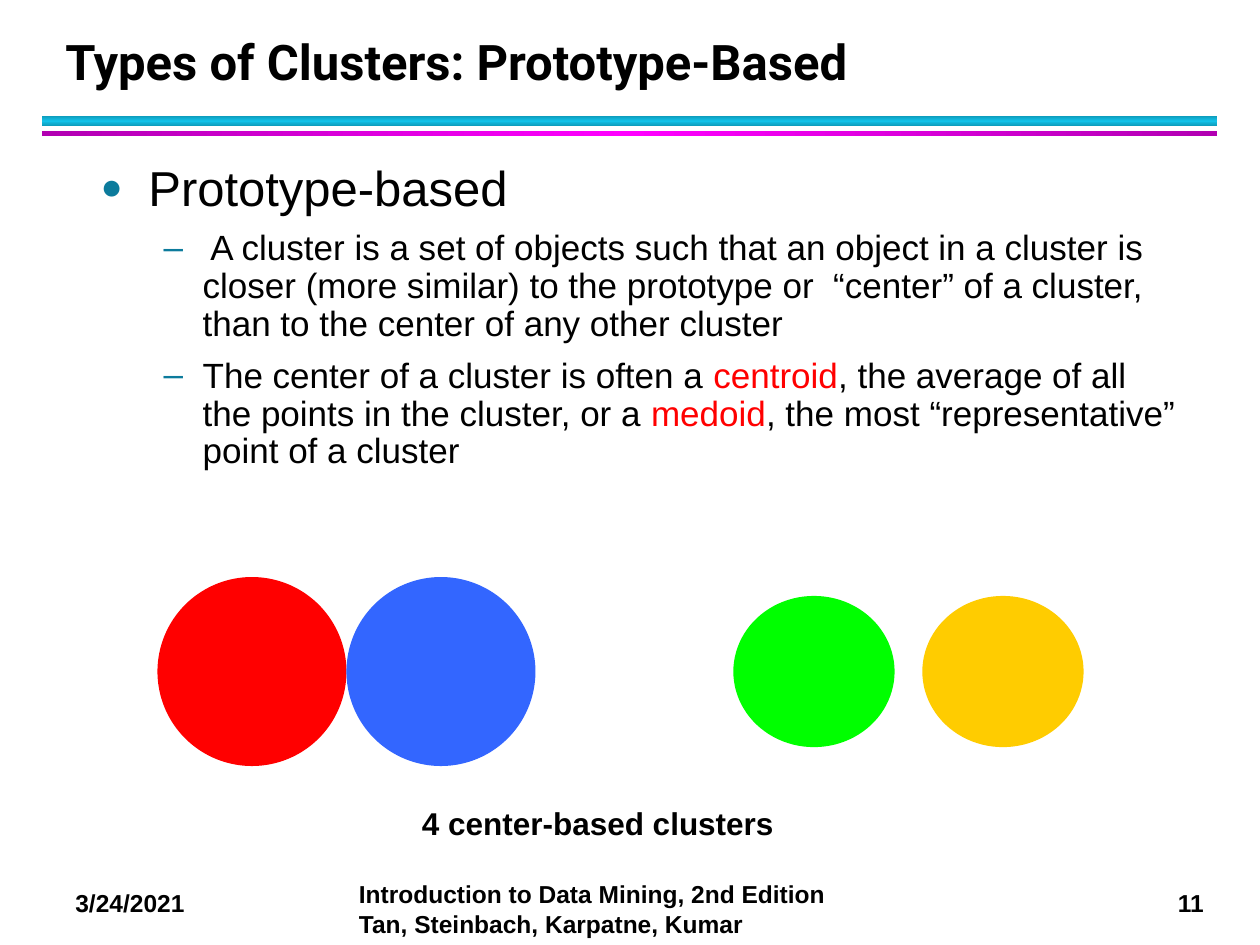
from copy import deepcopy

from lxml.etree import SubElement
from pptx import Presentation
from pptx.dml.color import RGBColor
from pptx.enum.shapes import MSO_SHAPE as Shape
from pptx.enum.text import MSO_ANCHOR as Anchor
from pptx.oxml.ns import qn
from pptx.util import Inches, Pt

BLACK = RGBColor(0, 0, 0)
RED = RGBColor(0xFF, 0, 0)
BLUE = RGBColor(0x33, 0x66, 0xFF)
GREEN = RGBColor(0, 0xFF, 0)
GOLD = RGBColor(0xFF, 0xCC, 0)
TEAL_EDGE = RGBColor(0x0E, 0x9B, 0xBA)
TEAL_MIDDLE = RGBColor(0x12, 0xC2, 0xE9)
PURPLE_EDGE = RGBColor(0xB2, 0, 0xB2)
PURPLE_MIDDLE = RGBColor(0xFF, 0, 0xFF)
BULLET_COLOR = "0C7B9C"

TITLE = "Types of Clusters: Prototype-Based"

# Level, then spans of (text, colour)
BODY = [
    (0, [("Prototype-based", BLACK)]),
    (1, [(" A cluster is a set of objects such that an object in a cluster is "
          "closer (more similar) to the prototype or  “center” of a cluster, "
          "than to the center of any other cluster", BLACK)]),
    (1, [("The center of a cluster is often a ", BLACK),
         ("centroid", RED),
         (", the average of all the points in the cluster, or a ", BLACK),
         ("medoid", RED),
         (", the most “representative” point of a cluster", BLACK)]),
]

# Per level: size, space before, left margin, hanging indent, bullet, bullet size %
LEVELS = [
    (28, 5.6, 0.38, 0.38, "●", 75),
    (20, 4, 0.81, 0.31, "–", 100),
]

# Text, position and size, font size, wrap
LABELS = [
    ("3/24/2021", (0.5, 7, 1.33, 0.34), 14, True),
    ("Introduction to Data Mining, 2nd Edition Tan, Steinbach, Karpatne, Kumar",
     (2.75, 6.93, 4.08, 0.57), 14, True),
    ("11", (9.25, 7, 0.44, 0.34), 14, False),
    ("4 center-based clusters", (3.25, 6.33, 3.5, 0.4), 18, True),
]

# Top, height, edge colour, middle colour, gradient angle
RULES = [
    (0.92, 0.08, TEAL_EDGE, TEAL_MIDDLE, 90),
    (1.04, 0.04, PURPLE_EDGE, PURPLE_MIDDLE, 0),
]

# Left, width, height, colour; all share one centre line
CLUSTERS = [
    (1.25, 1.5, 1.5, RED),
    (2.75, 1.5, 1.5, BLUE),
    (5.82, 1.28, 1.2, GREEN),
    (7.32, 1.28, 1.2, GOLD),
]
CLUSTER_CENTER = 5.33


def style(span, size, color=BLACK, bold=False, name="Arial"):
    font = span.font
    font.name, font.size, font.bold = name, Pt(size), bold
    font.color.rgb = color


def add_box(page, place, wrap=True):
    box = page.shapes.add_textbox(*map(Inches, place))
    box.text_frame.word_wrap = wrap
    return box.text_frame


def add_plain_shape(page, kind, *place):
    shape = page.shapes.add_shape(kind, *map(Inches, place))
    shape.shadow.inherit = False
    shape.line.fill.background()
    return shape


def fill_gradient(shape, edge, middle, angle):
    """Fill with a gradient that runs from edge to middle and back to edge."""
    fill = shape.fill
    fill.gradient()
    fill.gradient_angle = angle
    stop_list = shape._element.spPr.find(qn("a:gradFill")).find(qn("a:gsLst"))
    stop_list.append(deepcopy(stop_list[0]))
    for stop, position, color in zip(fill.gradient_stops, (0, 0.5, 1),
                                     (edge, middle, edge)):
        stop.position = position
        stop.color.rgb = color


def set_bullet(para, margin, hanging, char, percent):
    props = para._p.get_or_add_pPr()
    props.set("marL", str(Inches(margin)))
    props.set("indent", str(-Inches(hanging)))
    color = SubElement(props, qn("a:buClr"))
    SubElement(color, qn("a:srgbClr"), val=BULLET_COLOR)
    SubElement(props, qn("a:buSzPct"), val=str(percent * 1000))
    SubElement(props, qn("a:buFont"), typeface="Arial")
    SubElement(props, qn("a:buChar"), char=char)


def add_body(page):
    frame = add_box(page, (0.7, 1.25, 8.75, 5.59))
    for index, (level, spans) in enumerate(BODY):
        size, before, *bullet = LEVELS[level]
        para = frame.add_paragraph() if index else frame.paragraphs[0]
        para.level = level
        para.line_spacing = 0.9
        para.space_before, para.space_after = Pt(before), Pt(4)
        set_bullet(para, *bullet)
        for text, color in spans:
            span = para.add_run()
            span.text = text
            style(span, size, color)


def main():
    deck = Presentation()
    deck.slide_width, deck.slide_height = Inches(10), Inches(7.5)
    page = deck.slides.add_slide(deck.slide_layouts[6])

    for top, height, edge, middle, angle in RULES:
        rule = add_plain_shape(page, Shape.RECTANGLE, 0.33, top, 9.33, height)
        fill_gradient(rule, edge, middle, angle)

    title = add_box(page, (0.42, 0.17, 9.06, 0.6))
    title.vertical_anchor = Anchor.BOTTOM
    title.text = TITLE
    title.paragraphs[0].line_spacing = Pt(36)
    style(title.paragraphs[0].runs[0], 28, bold=True, name="Roboto")

    add_body(page)

    for left, width, height, color in CLUSTERS:
        cluster = add_plain_shape(page, Shape.OVAL, left,
                                  CLUSTER_CENTER - height / 2, width, height)
        cluster.fill.solid()
        cluster.fill.fore_color.rgb = color

    for text, place, size, wrap in LABELS:
        label = add_box(page, place, wrap)
        label.text = text
        style(label.paragraphs[0].runs[0], size, bold=True)

    deck.save("out.pptx")


if __name__ == "__main__":
    main()
